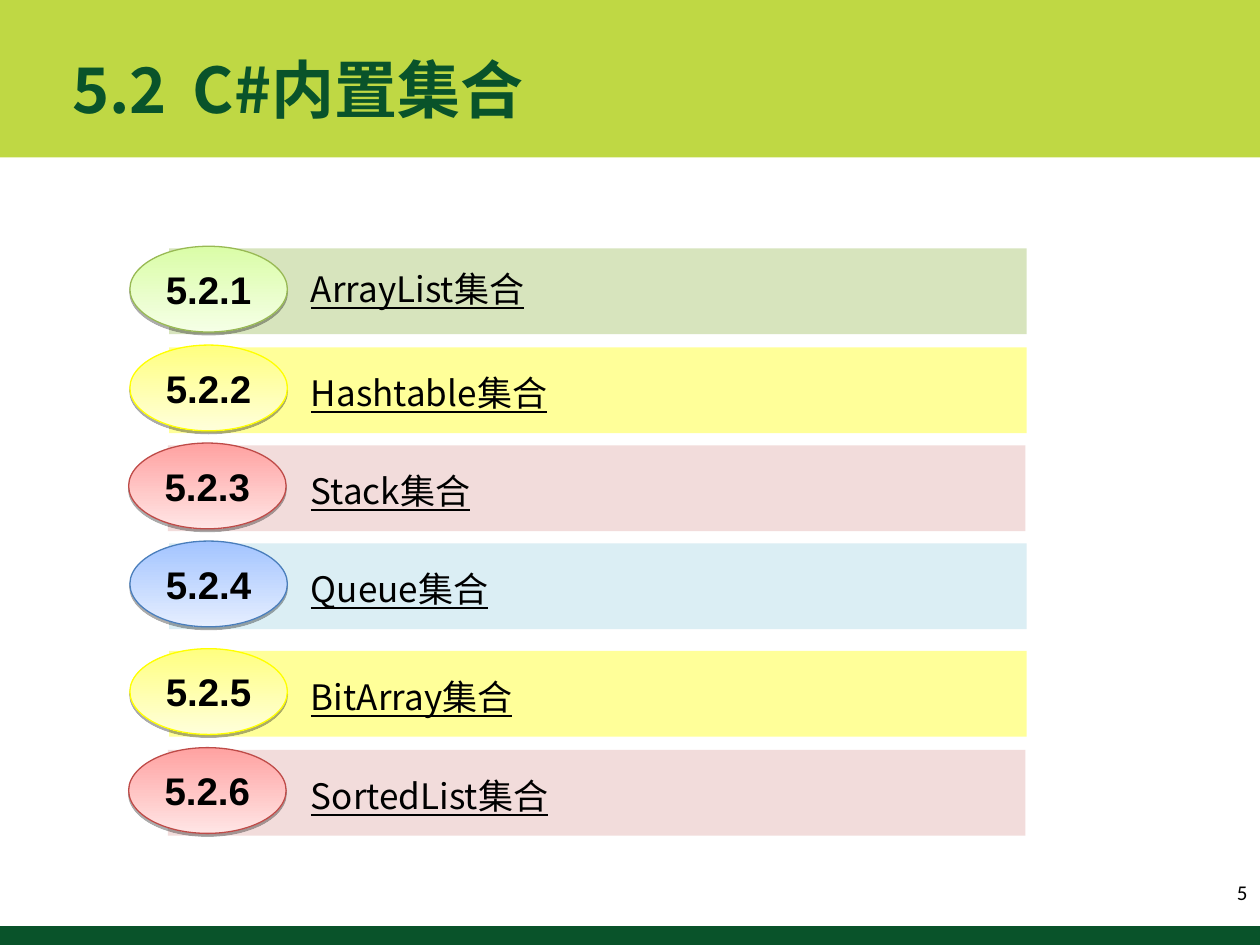
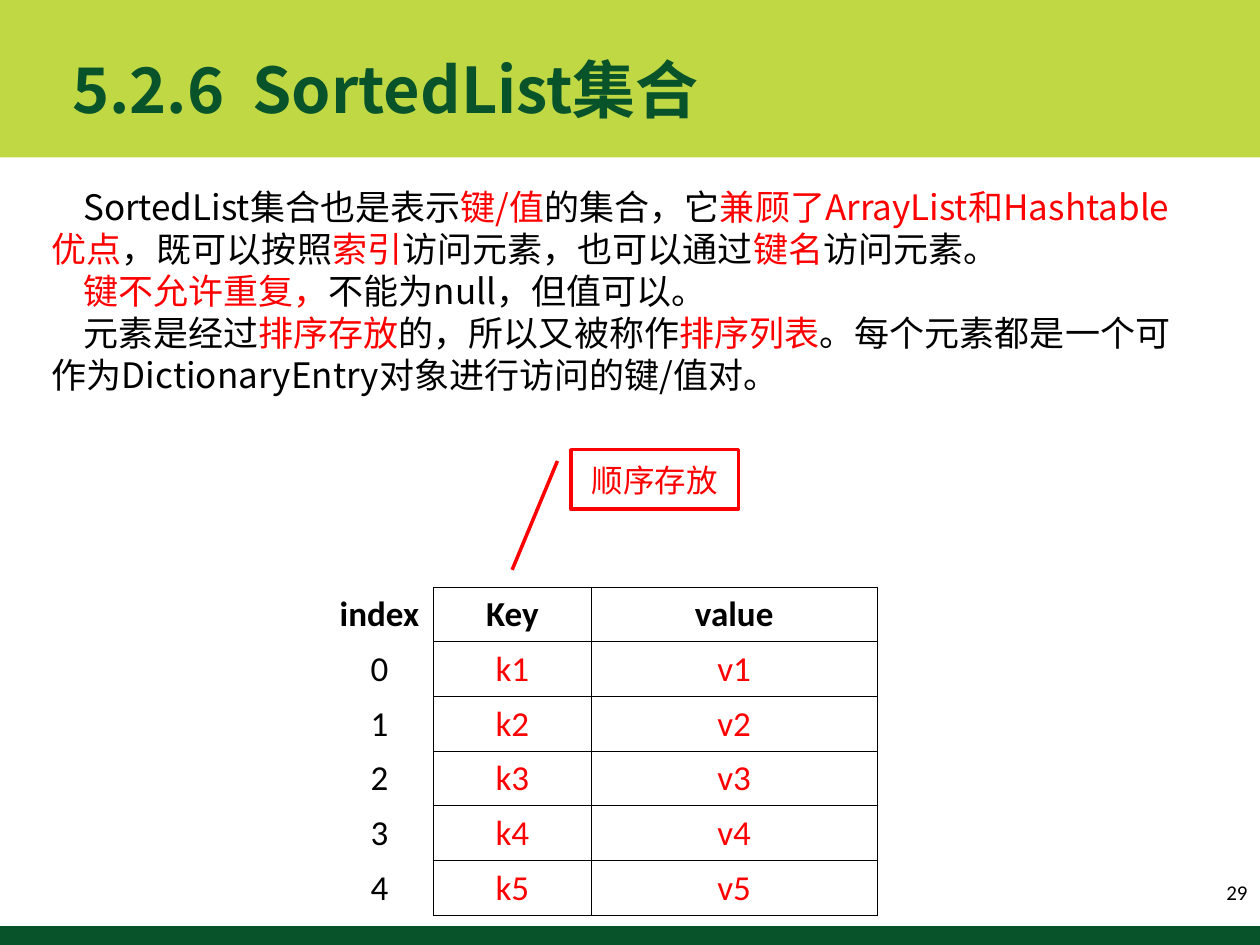
from lxml.etree import SubElement
from pptx import Presentation
from pptx.dml.color import RGBColor
from pptx.enum.shapes import MSO_SHAPE as Preset
from pptx.enum.text import MSO_ANCHOR as Anchor, MSO_AUTO_SIZE as AutoSize, PP_ALIGN as Align
from pptx.oxml.ns import qn
from pptx.util import Pt

COLORS = {
    "lime": "BFD844", "forest": "09532A", "black": "000000", "white": "FFFFFF", "red": "FF0000",
}
# Band fill, badge gradient top and bottom, badge outline
THEMES = {
    "green": ("D7E4BD", "DAFDA7", "F5FFE6", "98B954"),
    "yellow": ("FFFF99", "FFFF80", "FFFFDA", "FFFF00"),
    "pink": ("F2DCDB", "FFA2A1", "FFE5E5", "BE4B48"),
    "blue": ("DBEEF4", "A3C4FF", "E5EEFF", "4A7EBB"),
}
CJK, LATIN, BADGE_FONT = "Noto Sans CJK SC", "Calibri", "Arial"

# Number, name, theme, band top, distance from band top to label top
SECTIONS = [
    ("5.2.1", "ArrayList集合", "green", 142, 6.5),
    ("5.2.2", "Hashtable集合", "yellow", 198.5, 9.5),
    ("5.2.3", "Stack集合", "pink", 254.5, 9.5),
    ("5.2.4", "Queue集合", "blue", 310.5, 9.5),
    ("5.2.5", "BitArray集合", "yellow", 372, 9.5),
    ("5.2.6", "SortedList集合", "pink", 428.5, 9.5),
]
# Paragraphs of (text, colour name)
DESCRIPTION = [
    [("SortedList集合也是表示", "black"), ("键/值", "red"), ("的集合，它", "black"),
     ("兼顾了ArrayList和Hashtable优点", "red"), ("，既可以按照", "black"), ("索引", "red"),
     ("访问元素，也可以通过", "black"), ("键名", "red"), ("访问元素。", "black")],
    [("键不允许重复，", "red"), ("不能为null，但值可以。", "black")],
    [("元素是经过", "black"), ("排序存放", "red"), ("的，所以又被称作", "black"),
     ("排序列表", "red"),
     ("。每个元素都是一个可作为DictionaryEntry对象进行访问的键/值对。", "black")],
]
ENTRIES = [("index", "Key", "value")] + [(str(i), f"k{i + 1}", f"v{i + 1}") for i in range(5)]


def rgb(value):
    return RGBColor.from_string(value)


def place(shape, left, top, width, height):
    shape.left, shape.top, shape.width, shape.height = map(Pt, (left, top, width, height))


def add_span(para, text, size, color="black", font=CJK, bold=False, underline=False):
    span = para.add_run()
    span.text = text
    span.font.size = Pt(size)
    span.font.bold = bold
    span.font.underline = underline
    span.font.color.rgb = rgb(COLORS[color])
    span.font.name = font
    SubElement(span._r.get_or_add_rPr(), qn("a:ea"), typeface=CJK)


def add_preset(shapes, preset, left, top, width, height, fill=None):
    shape = shapes.add_shape(preset, Pt(left), Pt(top), Pt(width), Pt(height))
    shape.shadow.inherit = False
    shape.line.fill.background()
    if fill:
        shape.fill.solid()
        shape.fill.fore_color.rgb = rgb(fill)
    else:
        shape.fill.background()
    return shape


def add_text_box(page, left, top, width, height):
    box = page.shapes.add_textbox(Pt(left), Pt(top), Pt(width), Pt(height))
    box.text_frame.word_wrap = True
    return box.text_frame


def move_bands_to_master(deck, page):
    """Draw the header and footer bands, then hang them behind everything on the master."""
    for top, height, color in ((0, 90, "lime"), (529.2, 10.8, "forest")):
        band = add_preset(page.shapes, Preset.RECTANGLE, 0, top, 720, height, COLORS[color])
        deck.slide_master.shapes.element.insert(2, band.element)


def set_title(page, number, name, tab):
    title = page.shapes.title
    place(title, 34, 16.5, 534, 68.5)
    frame = title.text_frame
    frame.auto_size = AutoSize.NONE
    frame.vertical_anchor = Anchor.MIDDLE
    para = frame.paragraphs[0]
    para.alignment = Align.LEFT
    tabs = SubElement(para._p.get_or_add_pPr(), qn("a:tabLst"))
    SubElement(tabs, qn("a:tab"), pos=str(Pt(tab)), algn="l")
    add_span(para, f"{number}\t{name}", 36, "forest", bold=True)


def add_page_number(page, number):
    frame = add_text_box(page, 552, 495.5, 168, 28.8)
    frame.vertical_anchor = Anchor.MIDDLE
    para = frame.paragraphs[0]
    para.alignment = Align.RIGHT
    add_span(para, str(number), 12, font=LATIN)


def add_section(page, number, name, theme, top, label_drop):
    band_fill, light_top, light_bottom, outline = THEMES[theme]
    left = 73.5 if theme == "pink" else 74.2
    group = page.shapes.add_group_shape()
    add_preset(group.shapes, Preset.RECTANGLE, left + 22.5, top, 490, 49, band_fill)

    badge = add_preset(group.shapes, Preset.OVAL, left, top - 1.3, 90, 49)
    badge.fill.gradient()
    badge.fill.gradient_angle = 270
    for stop, color in zip(badge.fill.gradient_stops, (light_top, light_bottom)):
        stop.color.rgb = rgb(color)
    badge.line.color.rgb = rgb(outline)
    badge.line.width = Pt(0.75)
    effects = badge.element.spPr.find(qn("a:effectLst"))
    shadow = SubElement(effects, qn("a:outerShdw"), blurRad="0", dist=str(Pt(1.6)),
                        dir="5400000", rotWithShape="0")
    shade = SubElement(shadow, qn("a:srgbClr"), val=COLORS["black"])
    SubElement(shade, qn("a:alpha"), val="33000")
    badge.text_frame.vertical_anchor = Anchor.MIDDLE
    para = badge.text_frame.paragraphs[0]
    para.alignment = Align.CENTER
    add_span(para, number, 22, font=BADGE_FONT, bold=True)

    label = add_text_box(page, 170.6, top + label_drop, 248, 32).paragraphs[0]
    label.line_spacing = Pt(25)
    add_span(label, name, 20, underline=True)


def fill_description(body):
    place(body, 22.3, 102.5, 669.6, 127.5)
    frame = body.text_frame
    frame.auto_size = AutoSize.NONE
    for index, spans in enumerate(DESCRIPTION):
        para = frame.add_paragraph() if index else frame.paragraphs[0]
        para.space_before = Pt(0)
        para.line_spacing = Pt(24)
        properties = para._p.get_or_add_pPr()
        properties.set("marL", "0")
        properties.set("indent", str(Pt(18)))
        SubElement(properties, qn("a:buNone"))
        for text, color in spans:
            add_span(para, text, 20, color)


def set_borders(cell, **sides):
    """Colour the sides L, R, T and B, given in that order."""
    properties = cell._tc.get_or_add_tcPr()
    for position, (side, color) in enumerate(sides.items()):
        line = SubElement(properties, qn(f"a:ln{side}"), w=str(Pt(0.45)))
        fill = SubElement(line, qn("a:solidFill"))
        SubElement(fill, qn("a:srgbClr"), val=COLORS[color])
        properties.insert(position, line)


def add_entry_table(page):
    widths, row_height = (62, 90, 163.5), 31.2
    frame = page.shapes.add_table(len(ENTRIES), len(widths), Pt(185.8), Pt(335.5),
                                  Pt(sum(widths)), Pt(row_height * len(ENTRIES)))
    table = frame.table
    table.first_row = table.horz_banding = False
    for column, width in zip(table.columns, widths):
        column.width = Pt(width)
    for row, entry in enumerate(ENTRIES):
        table.rows[row].height = Pt(row_height)
        for column, text in enumerate(entry):
            cell = table.cell(row, column)
            cell.fill.solid()
            cell.fill.fore_color.rgb = rgb(COLORS["white"])
            edge = "black" if column else "white"
            set_borders(cell, L=edge, R="black", T=edge, B=edge)
            para = cell.text_frame.paragraphs[0]
            para.alignment = Align.CENTER
            color = "red" if row and column else "black"
            add_span(para, text, 20, color, LATIN, bold=row == 0)


def add_order_callout(page):
    callout = add_preset(page.shapes, Preset.LINE_CALLOUT_1, 326.2, 257, 95.8, 34)
    callout.line.color.rgb = rgb(COLORS["red"])
    callout.line.width = Pt(2)
    for index, value in enumerate((0.19, -0.08, 2.02, -0.35)):
        callout.adjustments[index] = value
    callout.text_frame.vertical_anchor = Anchor.MIDDLE
    para = callout.text_frame.paragraphs[0]
    para.alignment = Align.CENTER
    add_span(para, "顺序存放", 18, "red", LATIN)


def main():
    deck = Presentation()
    deck.slide_width, deck.slide_height = Pt(720), Pt(540)
    title_and_body, title_only = deck.slide_layouts[1], deck.slide_layouts[5]

    overview = deck.slides.add_slide(title_only)
    move_bands_to_master(deck, overview)
    set_title(overview, "5.2", "C#内置集合", 69)
    for section in SECTIONS:
        add_section(overview, *section)
    add_page_number(overview, 5)

    sorted_list = deck.slides.add_slide(title_and_body)
    set_title(sorted_list, "5.2.6", "SortedList集合", 103)
    fill_description(sorted_list.placeholders[1])
    add_page_number(sorted_list, 29)
    add_entry_table(sorted_list)
    add_order_callout(sorted_list)

    deck.save("out.pptx")


if __name__ == "__main__":
    main()
